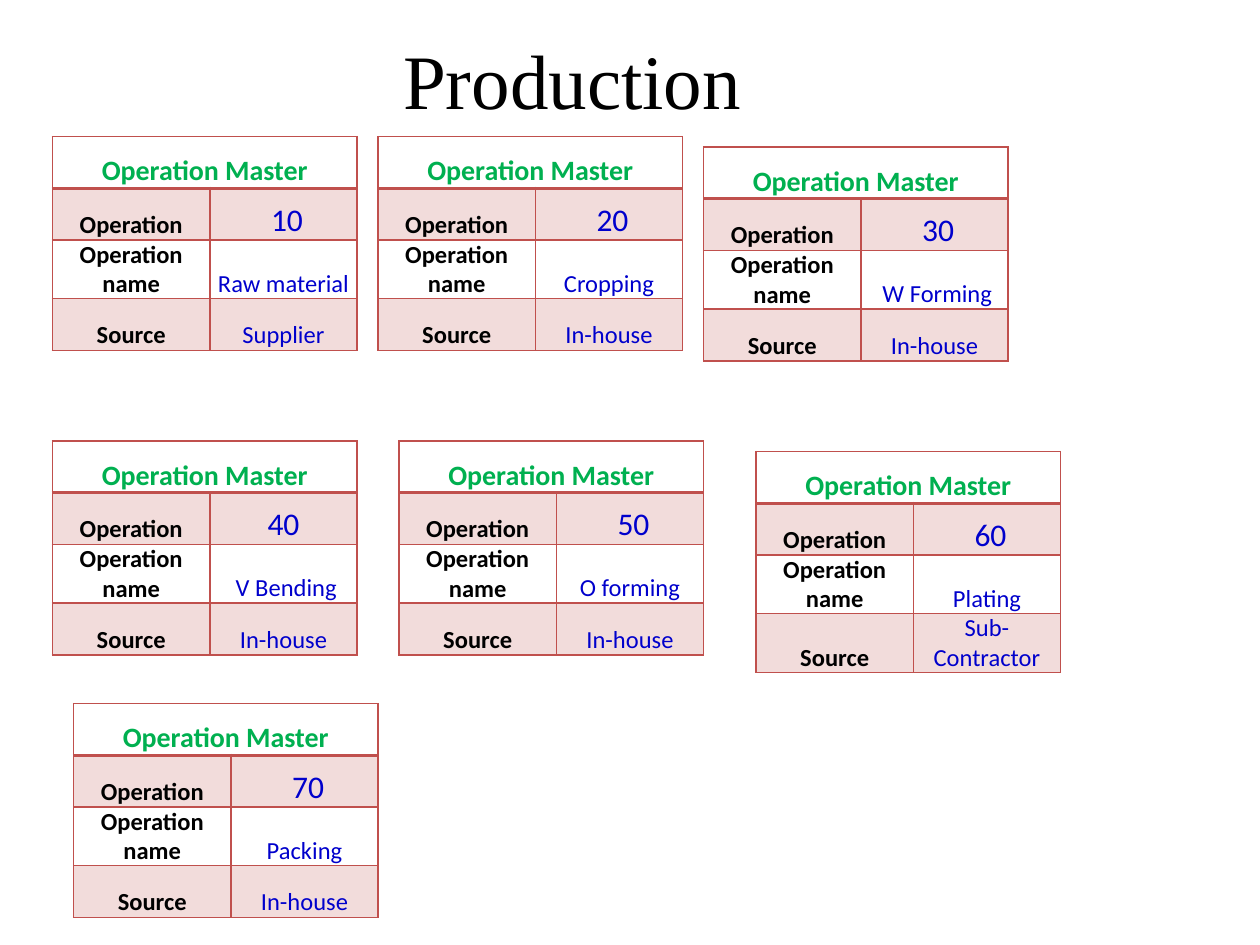
from dataclasses import dataclass

from lxml import etree
from pptx import Presentation, util as u
from pptx.dml.color import RGBColor
from pptx.enum import text
from pptx.oxml import ns


@dataclass(frozen=True)
class Theme:
    """Fonts, colours and type sizes of the slide."""
    title_font: str = "Times New Roman"
    card_font: str = "Calibri"
    black: str = "000000"
    heading: str = "00B050"
    value: str = "0000CC"
    accent: str = "C0504D"
    tint_percent: int = 20
    title_size: int = 44
    heading_size: int = 16
    number_size: int = 18
    body_size: int = 14


THEME = Theme()
GRID_COLUMNS, GRID_ROWS = 120, 90
SLIDE_WIDTH, SLIDE_HEIGHT = u.Inches(10), u.Inches(7.5)
LABEL_COLUMNS, VALUE_COLUMNS = 15, 14
CARD_ROW = u.Inches(0.41)

# Grid column, grid row, operation number, operation name, source
OPERATIONS = [
    (5, 13, "\u00a010", "Raw material", "Supplier"),
    (36, 13, "\u00a020", "Cropping", "In-house"),
    (67, 14, "\u00a030", " W Forming", "In-house"),
    (5, 42, "40", " V Bending", "In-house"),
    (38, 42, "\u00a050", "O forming", "In-house"),
    (72, 43, "\u00a060", "Plating", "Sub- Contractor"),
    (7, 67, "\u00a070", "Packing", "In-house"),
]


def across(columns):
    """Width of a number of grid columns."""
    return int(SLIDE_WIDTH * columns / GRID_COLUMNS)


def down(rows):
    """Height of a number of grid rows."""
    return int(SLIDE_HEIGHT * rows / GRID_ROWS)


def write(frame, wording, size, color, font, bold=False):
    """Put one centred paragraph into a text frame."""
    frame.text = wording
    paragraph = frame.paragraphs[0]
    paragraph.alignment = text.PP_ALIGN.CENTER
    style = paragraph.runs[0].font
    style.name, style.size, style.bold = font, u.Pt(size), bold
    style.color.rgb = RGBColor.from_string(color)


def add_title(slide, wording):
    """Add the heading at the top of the slide."""
    title = slide.shapes.add_textbox(across(28), 0, across(53), down(15))
    title.text_frame.word_wrap = True
    title.text_frame.vertical_anchor = text.MSO_ANCHOR.MIDDLE
    write(title.text_frame, wording, THEME.title_size, THEME.black, THEME.title_font)


def set_borders(cell, **widths):
    """Draw the cell's sides in the accent colour, widths in points."""
    properties = cell._tc.get_or_add_tcPr()
    for index, side in enumerate("LRTB"):
        line = etree.Element(ns.qn(f"a:ln{side}"), w=str(u.Pt(widths.get(side, 1))))
        fill = etree.SubElement(line, ns.qn("a:solidFill"))
        etree.SubElement(fill, ns.qn("a:srgbClr"), val=THEME.accent)
        properties.insert(index, line)


def set_fill(cell, tinted):
    """Fill the cell with the transparent accent, or leave it clear."""
    if not tinted:
        cell.fill.background()
        return
    cell.fill.solid()
    cell.fill.fore_color.rgb = RGBColor.from_string(THEME.accent)
    color = cell._tc.get_or_add_tcPr().find(".//" + ns.qn("a:srgbClr"))
    etree.SubElement(color, ns.qn("a:alpha"), val=str(THEME.tint_percent * 1000))


def style_cell(cell, row):
    """Set margins, anchor, banding and borders for a card row."""
    cell.margin_left = cell.margin_right = cell.margin_top = cell.margin_bottom = 0
    cell.vertical_anchor = text.MSO_ANCHOR.BOTTOM
    set_fill(cell, row % 2 == 1)
    set_borders(cell, T=2 if row == 1 else 1, B=2 if row == 0 else 1)


def add_operation_card(slide, column, row, number, name, source):
    """Add the master table of one operation."""
    card = slide.shapes.add_table(
        4, 2, across(column), down(row),
        across(LABEL_COLUMNS + VALUE_COLUMNS), CARD_ROW * 4).table
    card.first_row = card.horz_banding = False
    card.columns[0].width = across(LABEL_COLUMNS)
    card.columns[1].width = across(VALUE_COLUMNS)
    for index, card_row in enumerate(card.rows):
        card_row.height = CARD_ROW
        for cell in card_row.cells:
            style_cell(cell, index)

    card.cell(0, 0).merge(card.cell(0, 1))
    write(card.cell(0, 0).text_frame, "Operation Master", THEME.heading_size,
          THEME.heading, THEME.card_font, bold=True)
    details = [
        ("Operation", number, THEME.number_size),
        ("Operation name", name, THEME.body_size),
        ("Source", source, THEME.body_size),
    ]
    for index, (label, value, size) in enumerate(details, start=1):
        write(card.cell(index, 0).text_frame, label, THEME.body_size,
              THEME.black, THEME.card_font, bold=True)
        write(card.cell(index, 1).text_frame, value, size,
              THEME.value, THEME.card_font)


def main():
    """Build the production slide."""
    deck = Presentation()
    deck.slide_width, deck.slide_height = SLIDE_WIDTH, SLIDE_HEIGHT
    slide = deck.slides.add_slide(deck.slide_layouts[6])
    add_title(slide, "Production")
    for operation in OPERATIONS:
        add_operation_card(slide, *operation)
    deck.save("out.pptx")


main()
